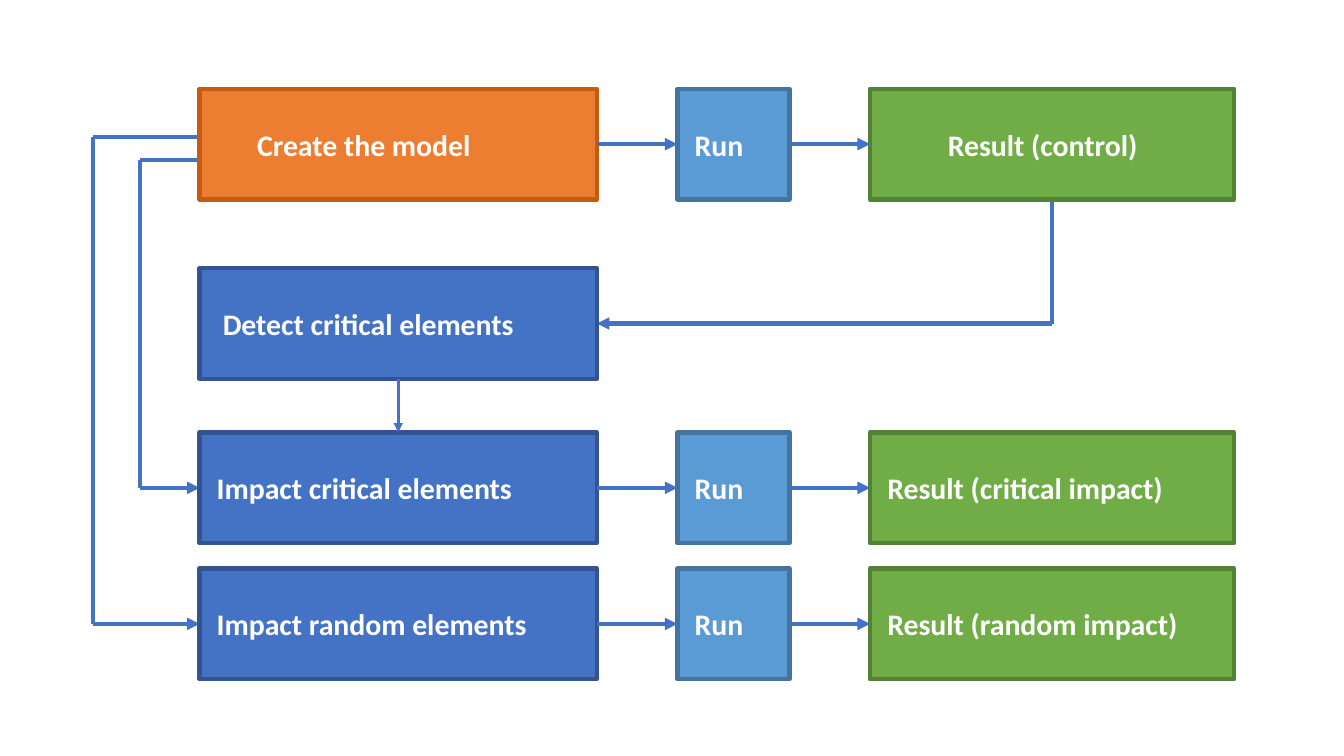
from pptx import Presentation
from pptx.dml.color import RGBColor
from pptx.enum.shapes import MSO_CONNECTOR, MSO_SHAPE
from pptx.enum.text import MSO_ANCHOR, PP_ALIGN
from pptx.oxml.ns import qn
from pptx.util import Inches, Pt
from lxml import etree

STRAIGHT = MSO_CONNECTOR.STRAIGHT
RECTANGLE = MSO_SHAPE.RECTANGLE
MIDDLE = MSO_ANCHOR.MIDDLE
LEFT = PP_ALIGN.LEFT
TOP_SITE, LEFT_SITE, BOTTOM_SITE, RIGHT_SITE = range(4)

COLORS = {
    "model": "ED7D31", "model_edge": "C55A11",
    "task": "4472C4", "task_edge": "325491",
    "run": "5B9BD5", "run_edge": "43739E",
    "result": "70AD47", "result_edge": "548235",
    "arrow": "4472C4", "text": "FFFFFF",
}
COLUMNS = {"task": (1.98, 3.94), "run": (6.72, 1.11), "result": (8.63, 3.61)}
BOX_HEIGHT = 1.1
INDENT = 0.17

ROWS = [
    (0.88, [("task", "model", "Create the model", 0.57),
            ("run", "run", "Run", INDENT),
            ("result", "result", "Result (control)", 0.77)]),
    (2.66, [("task", "task", "Detect critical elements", 0.23)]),
    (4.29, [("task", "task", "Impact critical elements", INDENT),
            ("run", "run", "Run", INDENT),
            ("result", "result", "Result (critical impact)", INDENT)]),
    (5.64, [("task", "task", "Impact random elements", INDENT),
            ("run", "run", "Run", INDENT),
            ("result", "result", "Result (random impact)", INDENT)]),
]
MODEL, DETECT, CRITICAL, RANDOM = range(4)
MODEL_BRANCHES = [(0.92, 1.36, RANDOM), (1.39, 1.59, CRITICAL)]


def color(name):
    return RGBColor.from_string(COLORS[name])


def add_line(page, start, end, arrow=False, width=3):
    line = page.shapes.add_connector(STRAIGHT, *map(Inches, start + end))
    line.line.color.rgb = color("arrow")
    line.line.width = Pt(width)
    properties = line.line._get_or_add_ln()
    if arrow:
        etree.SubElement(properties, qn("a:tailEnd"), type="triangle")
    etree.SubElement(properties.getparent(), qn("a:effectLst"))
    return line


def add_path(page, points):
    for index in range(1, len(points)):
        add_line(page, points[index - 1], points[index], index == len(points) - 1)


def link(page, source, source_site, target, target_site, width=3):
    arrow = add_line(page, (0, 0), (1, 1), True, width)
    arrow.begin_connect(source, source_site)
    arrow.end_connect(target, target_site)


def add_box(page, top, column, style, text, indent):
    left, width = COLUMNS[column]
    box = page.shapes.add_shape(
        RECTANGLE, *map(Inches, (left, top, width, BOX_HEIGHT)))
    box.shadow.inherit = False
    box.fill.solid()
    box.fill.fore_color.rgb = color(style)
    box.line.color.rgb = color(style + "_edge")
    box.line.width = Pt(3)
    frame = box.text_frame
    frame.word_wrap = True
    frame.vertical_anchor = MIDDLE
    frame.margin_left = Inches(indent)
    para = frame.paragraphs[0]
    para.alignment = LEFT
    span = para.add_run()
    span.text = text
    span.font.name = "Calibri"
    span.font.size = Pt(21.3)
    span.font.bold = True
    span.font.color.rgb = color("text")
    return box


def main():
    deck = Presentation()
    deck.slide_width, deck.slide_height = Inches(13.33), Inches(7.5)
    page = deck.slides.add_slide(deck.slide_layouts[6])

    middles = [top + BOX_HEIGHT / 2 for top, _ in ROWS]
    task_left, task_width = COLUMNS["task"]
    result_left, result_width = COLUMNS["result"]
    result_center = result_left + result_width / 2

    for lane, exit_y, row in MODEL_BRANCHES:
        add_path(page, [(task_left, exit_y), (lane, exit_y),
                        (lane, middles[row]), (task_left, middles[row])])
    add_path(page, [(result_center, ROWS[MODEL][0] + BOX_HEIGHT),
                    (result_center, middles[DETECT]),
                    (task_left + task_width, middles[DETECT])])

    boxes = [[add_box(page, top, *entry) for entry in entries]
             for top, entries in ROWS]
    for row in boxes:
        for source, target in zip(row, row[1:]):
            link(page, source, RIGHT_SITE, target, LEFT_SITE)
    link(page, boxes[DETECT][0], BOTTOM_SITE, boxes[CRITICAL][0], TOP_SITE, 2.25)

    deck.save("out.pptx")


if __name__ == "__main__":
    main()
